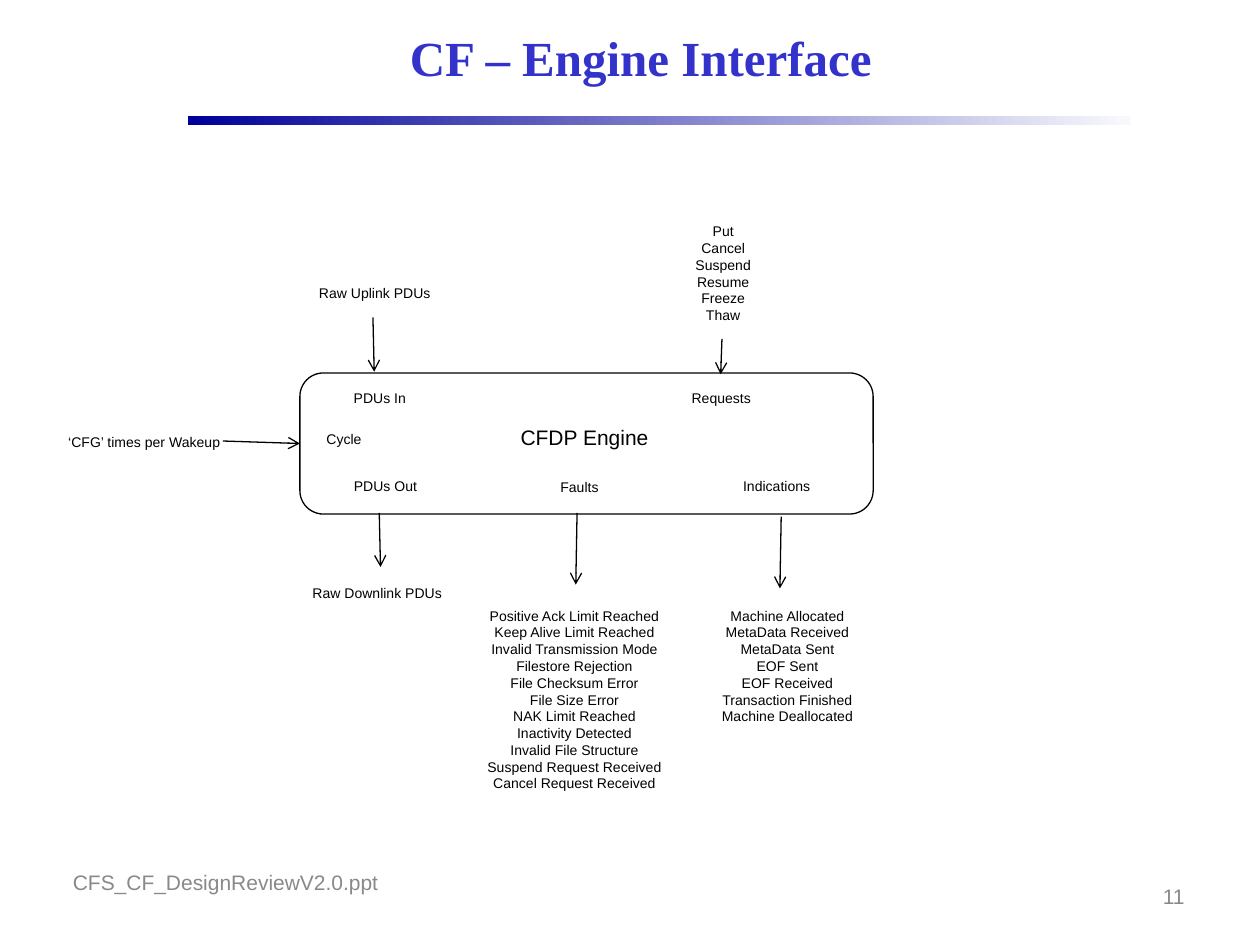
"""Build the CF engine interface slide."""
from lxml import etree
from pptx import Presentation
from pptx import util as u
from pptx.dml.color import RGBColor
from pptx.enum import shapes, text
from pptx.oxml.ns import qn

COLORS = {"ink": "000000", "title": "3333CC", "footer": "898989",
          "rule_start": "000099", "rule_end": "F9F9FD"}

LABELS = [
    (2.71, 3.04, 0.61, 0.24, ["PDUs In"]),
    (5.39, 3.04, 0.67, 0.24, ["Requests"]),
    (2.49, 3.37, 0.48, 0.24, ["Cycle"]),
    (2.71, 3.74, 0.70, 0.24, ["PDUs Out"]),
    (4.35, 3.75, 0.50, 0.24, ["Faults"]),
    (5.80, 3.74, 0.73, 0.24, ["Indications"]),
    (2.43, 2.21, 1.09, 0.24, ["Raw Uplink PDUs"]),
    (2.38, 4.59, 1.23, 0.24, ["Raw Downlink PDUs"]),
    (0.44, 3.39, 1.41, 0.24, ["‘CFG’ times per Wakeup"]),
    (5.42, 1.72, 0.64, 0.90,
     ["Put", "Cancel", "Suspend", "Resume", "Freeze", "Thaw"]),
    (3.77, 4.77, 1.58, 1.57,
     ["Positive Ack Limit Reached", "Keep Alive Limit Reached",
      "Invalid Transmission Mode", "Filestore Rejection",
      "File Checksum Error", "File Size Error", "NAK Limit Reached",
      "Inactivity Detected", "Invalid File Structure",
      "Suspend Request Received", "Cancel Request Received"]),
    (5.63, 4.77, 1.24, 1.03,
     ["Machine Allocated", "MetaData Received", "MetaData Sent", "EOF Sent",
      "EOF Received", "Transaction Finished", "Machine Deallocated"]),
]

ARROWS = [
    (2.96, 2.52, 2.97, 2.95),
    (5.73, 2.69, 5.72, 2.97),
    (3.01, 4.07, 3.02, 4.50),
    (4.58, 4.07, 4.57, 4.64),
    (6.20, 4.10, 6.19, 4.67),
]


def rgb(name):
    return RGBColor.from_string(COLORS[name])


def inches(values):
    return [u.Inches(value) for value in values]


def format_paragraphs(frame, size, color, align, font="Arial", bold=False):
    for paragraph in frame.paragraphs:
        paragraph.alignment = align
        paragraph.font.name = font
        paragraph.font.size = u.Pt(size)
        paragraph.font.bold = bold
        paragraph.font.color.rgb = rgb(color)


def add_title(slide, wording):
    title = slide.shapes.title
    title.left, title.top, title.width, title.height = inches((1.5, 0.08, 7.17, 0.75))
    frame = title.text_frame
    frame.text = wording
    frame.vertical_anchor = text.MSO_ANCHOR.MIDDLE
    format_paragraphs(frame, 28, "title", text.PP_ALIGN.CENTER, "Times New Roman", True)


def add_title_rule(slide):
    rule = slide.shapes.add_shape(shapes.MSO_SHAPE.RECTANGLE, *inches((1.49, 0.92, 7.49, 0.07)))
    rule.shadow.inherit = False
    rule.line.fill.background()
    rule.fill.gradient()
    rule.fill.gradient_angle = 180
    for stop, color in zip(rule.fill.gradient_stops, ("rule_end", "rule_start")):
        stop.color.rgb = rgb(color)


def add_engine(slide):
    engine = slide.shapes.add_shape(
        shapes.MSO_SHAPE.ROUNDED_RECTANGLE, *inches((2.38, 2.96, 4.55, 1.12)))
    engine.shadow.inherit = False
    engine.fill.background()
    engine.line.color.rgb = rgb("ink")
    engine.line.width = u.Pt(0.75)
    return engine


def add_text(slide, place, lines, size=12, color="ink", align=text.PP_ALIGN.CENTER):
    frame = slide.shapes.add_textbox(*inches(place)).text_frame
    frame.word_wrap = True
    frame.text = "\n".join(lines)
    format_paragraphs(frame, size, color, align)
    return frame


def add_label(slide, place, lines):
    frame = add_text(slide, place, lines, 8)
    frame.word_wrap = False
    frame.auto_size = text.MSO_AUTO_SIZE.SHAPE_TO_FIT_TEXT
    frame.margin_left = frame.margin_right = u.Inches(0.05)


def add_arrow(slide, ends):
    arrow = slide.shapes.add_connector(shapes.MSO_CONNECTOR.STRAIGHT, *inches(ends))
    arrow.line.color.rgb = rgb("ink")
    arrow.line.width = u.Pt(0.75)
    etree.SubElement(arrow.line._get_or_add_ln(), qn("a:tailEnd"), type="arrow")
    etree.SubElement(arrow._element.spPr, qn("a:effectLst"))
    return arrow


def add_footer(slide):
    file_name = add_text(slide, (0.48, 6.9, 6.33, 0.4), ["CFS_CF_DesignReviewV2.0.ppt"],
                         color="footer", align=text.PP_ALIGN.LEFT)
    file_name.margin_top = 0
    page = add_text(slide, (7.17, 6.91, 2.33, 0.4), ["11"],
                    color="footer", align=text.PP_ALIGN.RIGHT)
    page.vertical_anchor = text.MSO_ANCHOR.MIDDLE


def main():
    deck = Presentation()
    deck.slide_width, deck.slide_height = inches((10, 7.5))
    slide = deck.slides.add_slide(deck.slide_layouts.get_by_name("Title Only"))
    add_title_rule(slide)
    add_title(slide, "CF – Engine Interface")
    engine = add_engine(slide)
    add_text(slide, (3.66, 3.32, 1.96, 0.3), ["CFDP Engine"])
    for *place, lines in LABELS:
        add_label(slide, place, lines)
    for ends in ARROWS:
        add_arrow(slide, ends)
    wakeup = add_arrow(slide, (1.77, 3.5, 2.38, 3.51))
    wakeup.end_connect(engine, 1)
    add_footer(slide)
    deck.save("out.pptx")


if __name__ == "__main__":
    main()
